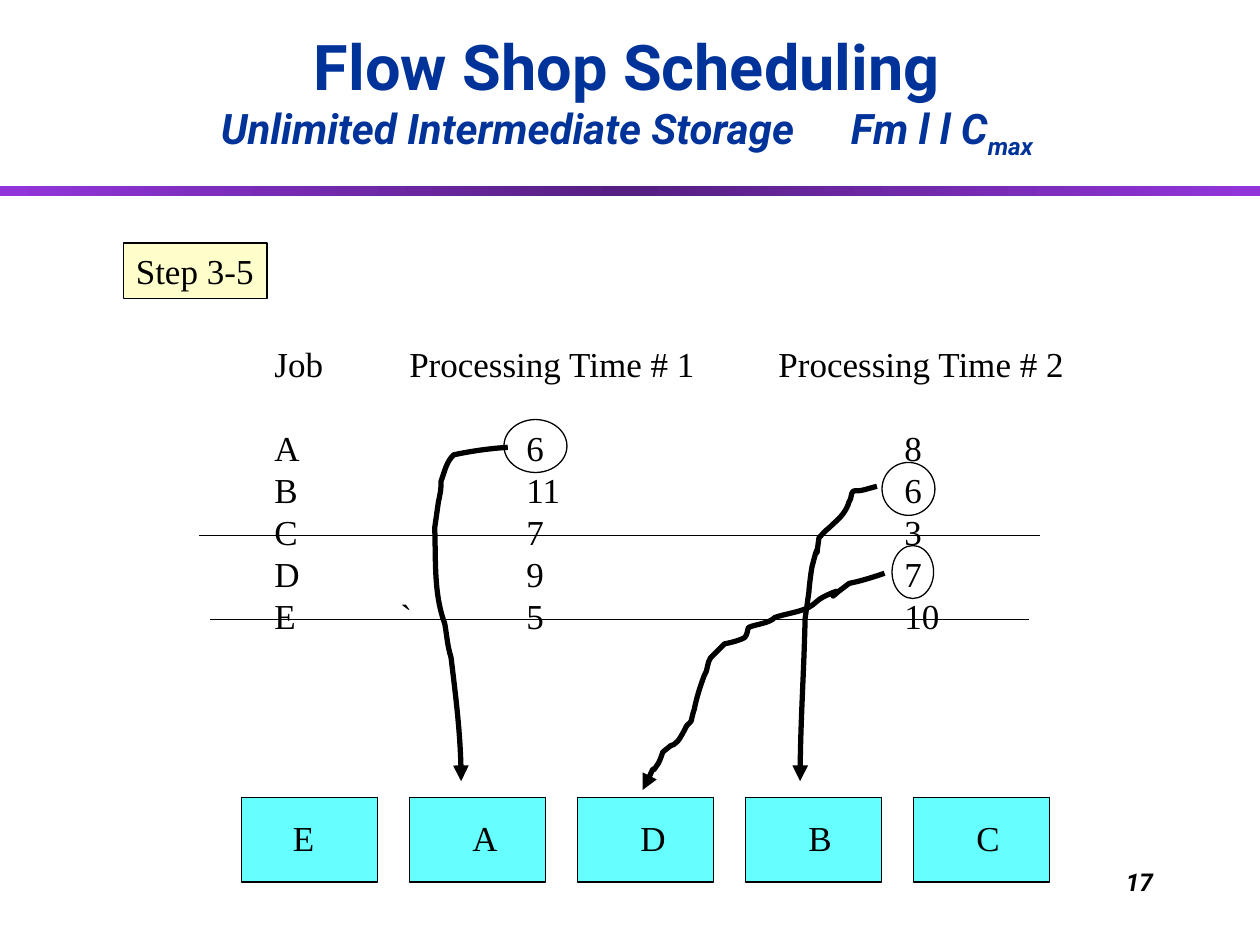
from copy import deepcopy

from pptx import Presentation
from pptx.dml.color import RGBColor
from pptx.enum.shapes import MSO_CONNECTOR, MSO_SHAPE
from pptx.enum.text import MSO_ANCHOR, MSO_AUTO_SIZE, PP_ALIGN
from pptx.oxml.ns import qn
from pptx.util import Inches, Pt
from lxml import etree

RECT, OVAL = MSO_SHAPE.RECTANGLE, MSO_SHAPE.OVAL
LEFT, CENTER, RIGHT = PP_ALIGN.LEFT, PP_ALIGN.CENTER, PP_ALIGN.RIGHT
SERIF, SANS = "Times New Roman", "Roboto"
BLACK, NAVY, CREAM, CYAN = "000000", "003399", "FFFFCC", "66FFFF"
BAND = [(0, "9234DB"), (50, "561F81"), (100, "9234DB")]
ROW = 1 / 3  # height of a job line, inches

# Each row: cells and the tab stops (inches) they sit at
HEADER = (["Job", "Processing Time # 1", "Processing Time # 2"], [1, 2.07, 5])
JOBS = [
    (["A", "6", "8"], [1, 3, 6]),
    (["B", "11", "6"], [1, 3, 6]),
    (["C", "7", "3"], [1, 3, 6]),
    (["D", "9", "7"], [1, 3, 6]),
    (["E", "`", "5", "10"], [1, 2, 3, 6]),
]
# Scheduled job, label offset in its box, label width
SEQUENCE = [("E", 0.31, 0.37), ("A", 0.4, 0.4), ("D", 0.4, 0.4),
            ("B", 0.4, 0.39), ("C", 0.4, 0.39)]
STRIKES = [(1.58, 8.25, 4.25), (1.67, 8.17, 4.25 + 2 * ROW)]  # from x, to x, y
CIRCLES = [(4, 3.33, 0.5), (7, 3.67, 0.42), (7.08, 4.33, 0.33)]  # x, y, width
# Bézier chains: a start point, then three points for each curve
ARROWS = [
    [(4.03, 3.55), (3.88, 3.56), (3.74, 3.58), (3.6, 3.61),
     (3.54, 3.67), (3.53, 3.74), (3.5, 3.82), (3.5, 3.86), (3.5, 3.89), (3.49, 3.93),
     (3.49, 3.95), (3.48, 3.97), (3.48, 3.98), (3.47, 4.05), (3.45, 4.19), (3.45, 4.19),
     (3.46, 4.44), (3.44, 4.71), (3.53, 4.95), (3.55, 5.07), (3.55, 5.12), (3.58, 5.22),
     (3.62, 5.55), (3.66, 5.88), (3.66, 6.2)],
    [(6.96, 3.86), (6.92, 3.87), (6.89, 3.88), (6.85, 3.89),
     (6.82, 3.9), (6.79, 3.89), (6.77, 3.9), (6.75, 3.92), (6.76, 3.96), (6.74, 3.98),
     (6.73, 4.02), (6.71, 4.05), (6.69, 4.08), (6.66, 4.12), (6.62, 4.15), (6.58, 4.19),
     (6.55, 4.21), (6.5, 4.27), (6.5, 4.27), (6.46, 4.55), (6.52, 4.2), (6.45, 4.48),
     (6.44, 4.5), (6.42, 4.68), (6.42, 4.7), (6.41, 4.77), (6.39, 4.91), (6.39, 4.91),
     (6.38, 5.34), (6.35, 5.77), (6.35, 6.2)],
    [(7.02, 4.55), (6.93, 4.58), (6.84, 4.61), (6.74, 4.63),
     (6.42, 4.87), (6.83, 4.59), (6.53, 4.74), (6.49, 4.76), (6.46, 4.8), (6.42, 4.82),
     (6.34, 4.86), (6.24, 4.87), (6.15, 4.9), (6.1, 4.95), (6.01, 4.95), (5.94, 4.98),
     (5.93, 5.01), (5.93, 5.04), (5.91, 5.06), (5.86, 5.09), (5.75, 5.11), (5.75, 5.11),
     (5.71, 5.15), (5.68, 5.18), (5.64, 5.22), (5.61, 5.26), (5.62, 5.32), (5.59, 5.36),
     (5.56, 5.44), (5.53, 5.53), (5.51, 5.63), (5.47, 5.75), (5.51, 5.7), (5.45, 5.76),
     (5.44, 5.78), (5.39, 5.88), (5.37, 5.89), (5.36, 5.91), (5.34, 5.91), (5.32, 5.92),
     (5.31, 5.93), (5.27, 5.96), (5.26, 5.97), (5.25, 6), (5.23, 6.06), (5.21, 6.08),
     (5.16, 6.16), (5.21, 6.04), (5.16, 6.15), (5.15, 6.16), (5.13, 6.27), (5.1, 6.27)],
]


def rgb(color):
    return RGBColor.from_string(color)


def add_text(p, text, size=20, font=SERIF, color=BLACK, bold=False, italic=False, align=LEFT):
    p.alignment = align
    r = p.add_run()
    r.text = text
    f = r.font
    f.size, f.name, f.bold, f.italic = Pt(size), font, bold, italic
    f.color.rgb = rgb(color)
    return r


def style_shape(sp, fill=None, line=None, width=0.75):
    sp.shadow.inherit = False
    if fill:
        sp.fill.solid()
        sp.fill.fore_color.rgb = rgb(fill)
    else:
        sp.fill.background()
    if line:
        sp.line.color.rgb = rgb(line)
        sp.line.width = Pt(width)
    else:
        sp.line.fill.background()


def add_box(shapes, kind, box, fill=None, line=None):
    sp = shapes.add_shape(kind, *map(Inches, box))
    style_shape(sp, fill, line)
    return sp


def add_label(shapes, box, text, fill, line=None):
    sp = add_box(shapes, RECT, box, fill, line)
    sp.text_frame.word_wrap = False
    add_text(sp.text_frame.paragraphs[0], text)


def add_row(p, cells, stops):
    """Write the cells behind tabs, one stop for each cell."""
    add_text(p, "".join("\t" + cell for cell in cells))
    p.line_spacing = Pt(24)
    tabs = etree.SubElement(p._p.get_or_add_pPr(), qn("a:tabLst"))
    for stop in stops:
        etree.SubElement(tabs, qn("a:tab"), pos=str(Inches(stop)), algn="l")


def add_arrow(shapes, chain):
    """Draw an open freeform whose points, three by three, become Bézier curves."""
    start, *points = [tuple(map(Inches, point)) for point in chain]
    builder = shapes.build_freeform(*start)
    builder.add_line_segments(points, close=False)
    sp = builder.convert_to_shape()
    segments = list(sp._element.iter(qn("a:lnTo")))
    outline = segments[0].getparent()
    for i in range(0, len(segments), 3):
        curve = etree.SubElement(outline, qn("a:cubicBezTo"))
        for segment in segments[i:i + 3]:
            curve.append(segment[0])
            outline.remove(segment)
    style_shape(sp, line=BLACK, width=3)
    etree.SubElement(sp.line._get_or_add_ln(), qn("a:tailEnd"), type="triangle")


def add_strike(shapes, x1, x2, y):
    line = shapes.add_connector(MSO_CONNECTOR.STRAIGHT, *map(Inches, (x1, y, x2, y)))
    line.line.color.rgb = rgb(BLACK)
    line.line.width = Pt(0.75)
    etree.SubElement(line._element.spPr, qn("a:effectLst"))


def add_band(shapes):
    sp = add_box(shapes, RECT, (0, 1.48, 10, 0.08))
    sp.fill.gradient()
    sp.fill.gradient_angle = 0
    stops = sp.fill._fill._gradFill.find(qn("a:gsLst"))
    stops.append(deepcopy(stops[-1]))
    for stop, (position, color) in zip(sp.fill.gradient_stops, BAND):
        stop.position = position / 100
        stop.color.rgb = rgb(color)


def fill_title(title):
    title.left, title.top, title.width, title.height = map(Inches, (0.17, 0.25, 9.61, 1.07))
    tf = title.text_frame
    tf.auto_size, tf.vertical_anchor = MSO_AUTO_SIZE.NONE, MSO_ANCHOR.BOTTOM
    p = tf.paragraphs[0]
    style = dict(font=SANS, color=NAVY, bold=True, align=CENTER)
    add_text(p, "Flow Shop Scheduling", size=36, **style)
    p.add_line_break()
    add_text(p, "Unlimited Intermediate Storage\tFm l l C", size=24, italic=True, **style)
    r = add_text(p, "max", size=24, italic=True, **style)
    r.font._element.set("baseline", "-25000")


def main():
    prs = Presentation()
    prs.slide_width, prs.slide_height = Inches(10), Inches(7.5)
    s = prs.slides.add_slide(prs.slide_layouts[5])
    shapes = s.shapes
    fill_title(shapes.title)
    add_band(shapes)

    number = shapes.add_textbox(*map(Inches, (7.17, 6.83, 2.08, 0.5)))
    add_text(number.text_frame.paragraphs[0], "17", size=14, font=SANS,
             bold=True, italic=True, align=RIGHT)

    tf = shapes.add_textbox(*map(Inches, (1.08, 2, 7.47, 3.1))).text_frame
    tf.word_wrap = False
    tf.margin_top = Inches(0.72)
    add_row(tf.paragraphs[0], *HEADER)
    tf.paragraphs[0].space_after = Pt(24)
    for job in JOBS:
        add_row(tf.add_paragraph(), *job)

    add_label(shapes, (0.98, 1.93, 1.14, 0.44), "Step 3-5", CREAM, BLACK)
    for i, (job, offset, width) in enumerate(SEQUENCE):
        x = 7.25 - (4 - i) * 4 * ROW
        add_box(shapes, RECT, (x, 6.33, 1.08, 0.67), CYAN, BLACK)
        add_label(shapes, (x + offset, 6.43, width, 0.43), job, CYAN)
    for strike in STRIKES:
        add_strike(shapes, *strike)
    for x, y, width in CIRCLES:
        add_box(shapes, OVAL, (x, y, width, 0.42), line=BLACK)
    for chain in ARROWS:
        add_arrow(shapes, chain)

    prs.save("out.pptx")


if __name__ == "__main__":
    main()
